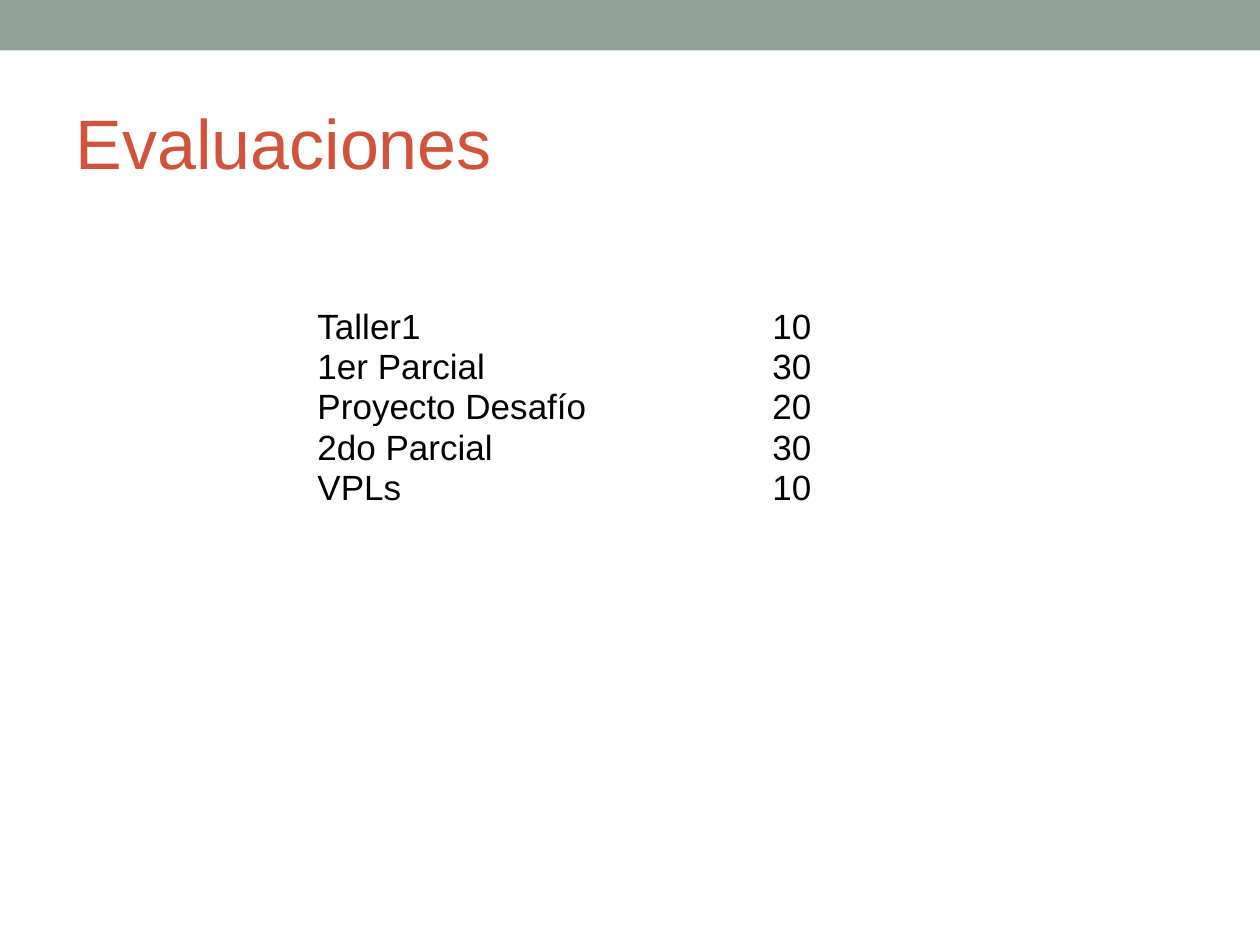
from dataclasses import dataclass

from pptx import Presentation
from pptx.dml.color import RGBColor
from pptx.enum.shapes import MSO_SHAPE
from pptx.enum.text import MSO_ANCHOR, PP_ALIGN
from pptx.util import Inches, Pt

RECT = MSO_SHAPE.RECTANGLE
MIDDLE, BOTTOM = MSO_ANCHOR.MIDDLE, MSO_ANCHOR.BOTTOM
LEFT, RIGHT = PP_ALIGN.LEFT, PP_ALIGN.RIGHT
WIDE, HIGH = 10, 7.5


@dataclass(frozen=True)
class Theme:
    font: str = "Arial"
    band: RGBColor = RGBColor(0x93, 0xA2, 0x99)
    title: RGBColor = RGBColor(0xD2, 0x53, 0x3C)
    text: RGBColor = RGBColor(0, 0, 0)
    head: int = 40
    body: int = 20


THEME = Theme()
GRADES = [
    ("Taller1", "10"),
    ("1er Parcial", "30"),
    ("Proyecto Desafío", "20"),
    ("2do Parcial", "30"),
    ("VPLs", "10"),
]
COLS = [(2.29, LEFT), (1.65, RIGHT)]
ROW = 0.32


def style(par, size, color, align=LEFT):
    par.alignment = align
    for run in par.runs:
        run.font.name = THEME.font
        run.font.size = Pt(size)
        run.font.color.rgb = color


def add_band(slide):
    band = slide.shapes.add_shape(RECT, 0, 0, Inches(WIDE), Inches(0.4))
    band.shadow.inherit = False
    band.fill.solid()
    band.fill.fore_color.rgb = THEME.band
    band.line.fill.background()


def set_title(slide, text):
    title = slide.shapes.title
    title.left, title.top = Inches(WIDE * 0.05), Inches(0.58)
    title.width, title.height = Inches(WIDE * 0.9), Inches(1.08)
    frame = title.text_frame
    frame.text = text
    frame.vertical_anchor = MIDDLE
    style(frame.paragraphs[0], THEME.head, THEME.title)


def fill_cell(cell, text, align):
    cell.fill.background()
    cell.margin_left = cell.margin_right = cell.margin_top = Inches(0.01)
    cell.margin_bottom = 0
    cell.vertical_anchor = BOTTOM
    cell.text = text
    style(cell.text_frame.paragraphs[0], THEME.body, THEME.text, align)


def add_grades(slide, left, top):
    width = sum(wide for wide, _ in COLS)
    table = slide.shapes.add_table(
        len(GRADES), len(COLS), Inches(left), Inches(top),
        Inches(width), Inches(ROW * len(GRADES))).table
    table.first_row = table.horz_banding = False
    for col, (wide, align) in enumerate(COLS):
        table.columns[col].width = Inches(wide)
        for row, grade in enumerate(GRADES):
            fill_cell(table.cell(row, col), grade[col], align)


def main():
    deck = Presentation()
    deck.slide_width, deck.slide_height = Inches(WIDE), Inches(HIGH)
    slide = deck.slides.add_slide(deck.slide_layouts[5])  # title only

    # Header
    add_band(slide)
    set_title(slide, "Evaluaciones")

    # Weight of each test
    add_grades(slide, 2.51, 2.43)

    deck.save("out.pptx")


if __name__ == "__main__":
    main()
